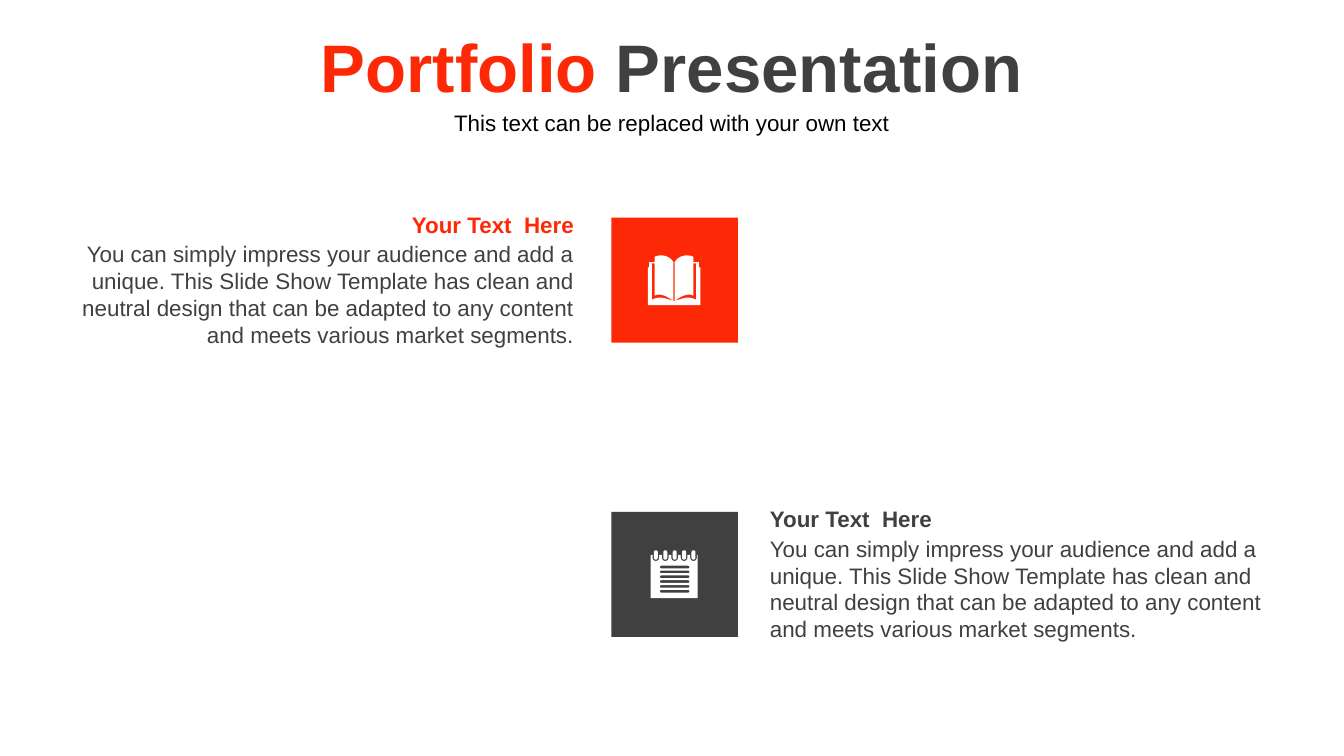
"""Build the portfolio slide with two icon tiles and their texts."""
from dataclasses import dataclass
from math import cos, pi, sin

from pptx import Presentation
from pptx.dml.color import RGBColor
from pptx.enum.shapes import MSO_SHAPE
from pptx.enum.text import MSO_ANCHOR, PP_ALIGN
from pptx.util import Inches, Pt


@dataclass(frozen=True)
class Theme:
    font: str = "Arial"
    red: str = "FD2906"
    gray: str = "404040"
    black: str = "000000"
    white: str = "FFFFFF"
    title: int = 36
    body: int = 12


THEME = Theme()
HEAD = "Your Text  Here"
BODY = ("You can simply impress your audience and add a unique. "
        "This Slide Show Template has clean and neutral design that can be "
        "adapted to any content and meets various market segments.")


def add_text(slide, box, *runs, size=THEME.body, bold=False,
             align=PP_ALIGN.LEFT, anchor=MSO_ANCHOR.TOP):
    frame = slide.shapes.add_textbox(*map(Inches, box)).text_frame
    frame.word_wrap = True
    frame.vertical_anchor = anchor
    para = frame.paragraphs[0]
    para.alignment = align
    for text, color in runs:
        run = para.add_run()
        run.text = text
        font = run.font
        font.name, font.size, font.bold = THEME.font, Pt(size), bold
        font.color.rgb = RGBColor.from_string(color)


def paint(shape, color):
    shape.shadow.inherit = False
    shape.fill.solid()
    shape.fill.fore_color.rgb = RGBColor.from_string(color)
    shape.line.fill.background()


def add_tile(slide, top, color):
    box = map(Inches, (4.55, top, 0.94, 0.93))
    paint(slide.shapes.add_shape(MSO_SHAPE.RECTANGLE, *box), color)


def add_icon(slide, rings):
    rings = [[(Inches(x), Inches(y)) for x, y in ring] for ring in rings]
    pen = slide.shapes.build_freeform(*rings[0][0])
    for ring in rings:
        pen.move_to(*ring[0])
        pen.add_line_segments(ring[1:], close=True)
    paint(pen.convert_to_shape(), THEME.white)


def curve(a, b, c, d, steps=10):
    def point(t):
        u = 1 - t
        return tuple(u**3 * p + 3 * u * u * t * q + 3 * u * t * t * r + t**3 * s
                     for p, q, r, s in zip(a, b, c, d))
    return [point(i / steps) for i in range(steps + 1)]


def arc(x, y, width, start, end, steps=8):
    turns = [start + (end - start) * i / steps for i in range(steps + 1)]
    return [(x + width / 2 * cos(t), y + width / 2 * sin(t)) for t in turns]


def flip(ring, left=4.82, right=5.21):
    return [(left + right - x, y) for x, y in reversed(ring)]


def book():
    half = [(4.82, 2.27), (4.82, 1.99), (4.83, 1.99), (4.83, 1.95), (4.87, 1.95)]
    half += curve((4.87, 1.91), (4.92, 1.89), (4.98, 1.9), (5.01, 1.95))
    gap = [(4.85, 1.96), (4.87, 1.96)]
    gap += curve((4.87, 2.2), (4.91, 2.18), (4.96, 2.2), (5.01, 2.24))
    gap += curve((5.01, 2.24), (4.95, 2.22), (4.91, 2.2), (4.85, 2.23))
    spine = [(5.01, 1.95), (5.02, 1.95), (5.02, 2.24), (5.01, 2.24)]
    return [half + flip(half), gap, flip(gap), spine]


def notepad():
    loops = [4.88 + 0.07 * i for i in range(5)]
    page = [(4.84, 4.45), (4.84, 4.13)]
    for x in loops:
        notch = arc(x, 4.15, 0.05, pi, 0)
        page += [(notch[0][0], 4.13), *notch, (notch[-1][0], 4.13)]
    page += [(5.19, 4.13), (5.19, 4.45)]
    rows = [4.22 + 0.18 * i / 5 for i in range(6)]
    bars = [arc(4.92, y, 0.02, pi / 2, 3 * pi / 2)
            + arc(5.12, y, 0.02, -pi / 2, pi / 2) for y in rows]
    pins = [arc(x, 4.11, 0.03, pi, 2 * pi) + arc(x, 4.15, 0.03, 0, pi)
            for x in loops]
    return [page, *bars, *pins]


def add_note(slide, left, top, width, color, align):
    add_text(slide, (left, top + 0.22, width, 0.91), (BODY, THEME.gray), align=align)
    add_text(slide, (left, top, width, 0.3), (HEAD, color), bold=True, align=align)


def main():
    deck = Presentation()
    deck.slide_width, deck.slide_height = Inches(10), Inches(10 * 9 / 16)
    slide = deck.slides.add_slide(deck.slide_layouts[6])
    add_text(slide, (0, 0, 10, 0.97), ("Portfolio ", THEME.red),
             ("Presentation", THEME.gray), size=THEME.title, bold=True,
             align=PP_ALIGN.CENTER, anchor=MSO_ANCHOR.MIDDLE)
    add_note(slide, 0.43, 1.52, 3.94, THEME.red, PP_ALIGN.RIGHT)
    add_note(slide, 5.63, 3.71, 4.02, THEME.gray, PP_ALIGN.LEFT)
    add_text(slide, (0, 0.76, 10, 0.29),
             ("This text can be replaced with your own text", THEME.black),
             align=PP_ALIGN.CENTER)
    add_tile(slide, 1.62, THEME.red)
    add_tile(slide, 3.81, THEME.gray)
    add_icon(slide, book())
    add_icon(slide, notepad())
    deck.save("out.pptx")


if __name__ == "__main__":
    main()
